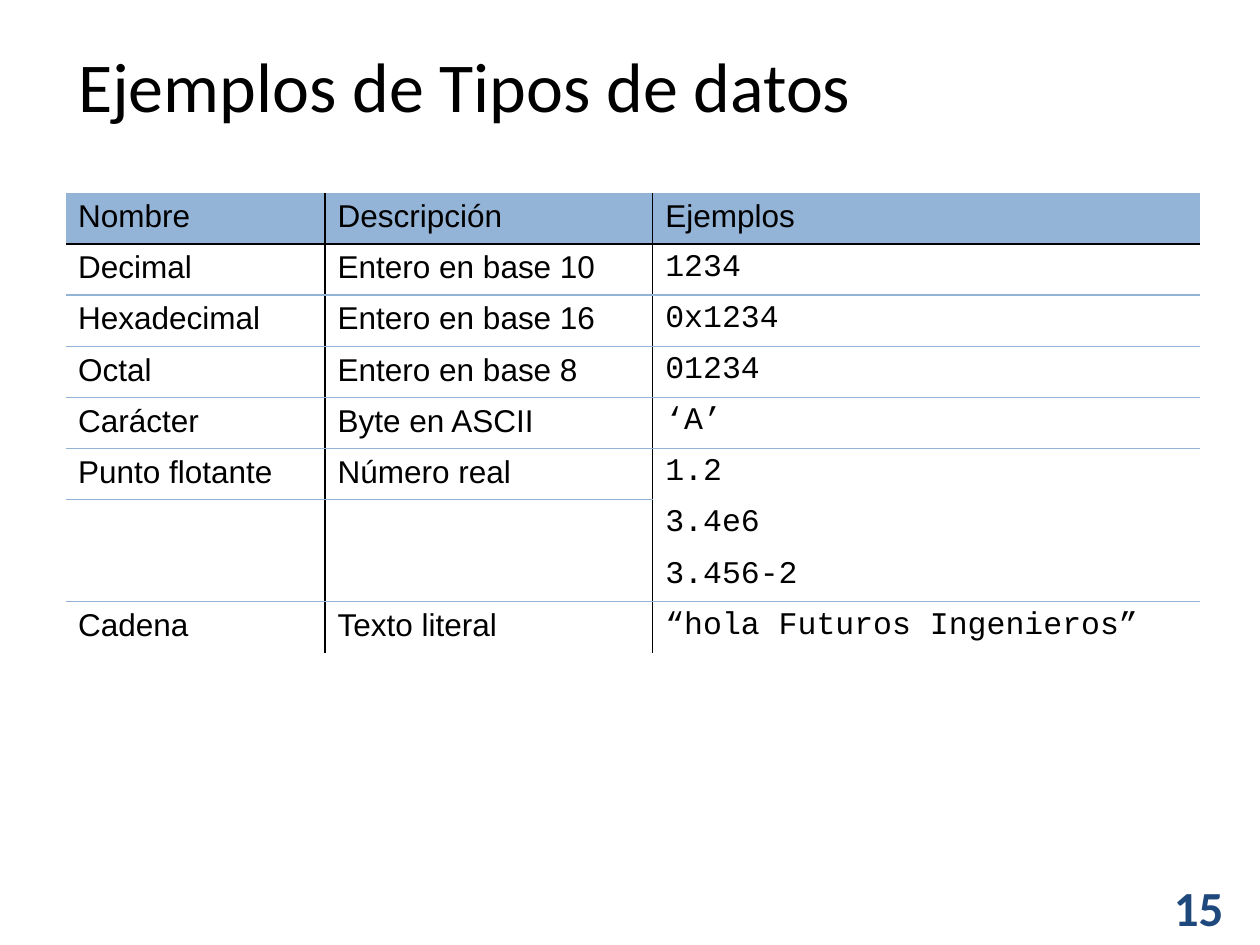
from dataclasses import dataclass
from typing import Optional

from lxml.etree import SubElement
from pptx import Presentation
from pptx.dml.color import RGBColor
from pptx.oxml.ns import qn
from pptx.util import Pt

COLORS = {"black": "000000", "blue": "93B3D7", "navy": "1F497D"}


@dataclass
class Label:
    text: str
    left: float
    top: float
    width: float
    height: float
    size: float
    color: str
    bold: bool = False


@dataclass
class Border:
    color: str
    width: float


LABELS = [
    Label("15", 663.8, 498.2, 51.2, 41, 28, "navy", True),
    Label("Ejemplos de Tipos de datos", 37.5, 20.9, 555.8, 55.4, 40, "black"),
]
ROWS = [
    ("Nombre", "Descripción", "Ejemplos"),
    ("Decimal", "Entero en base 10", "1234"),
    ("Hexadecimal", "Entero en base 16", "0x1234"),
    ("Octal", "Entero en base 8", "01234"),
    ("Carácter", "Byte en ASCII", "‘A’"),
    ("Punto flotante", "Número real", "1.2"),
    ("", "", "3.4e6"),
    ("", "", "3.456-2"),
    ("Cadena", "Texto literal", "“hola Futuros Ingenieros”"),
]
COL_WIDTHS = (148.3, 187.2, 312.5)
ROW_HEIGHT = 29.2
DIVIDER = Border("black", 1)
RULE = Border("blue", 0.75)
OPEN_BELOW = {(5, 2), (6, 0), (6, 1), (6, 2)}


def style(p, font: str, size: float, color: str, bold: bool = False) -> None:
    p.font.name = font
    p.font.size = Pt(size)
    p.font.bold = bold
    p.font.color.rgb = RGBColor.from_string(COLORS[color])


def add_label(s, label: Label) -> None:
    sp = s.shapes.add_textbox(
        Pt(label.left), Pt(label.top), Pt(label.width), Pt(label.height)
    )
    tf = sp.text_frame
    tf.word_wrap = True
    p = tf.paragraphs[0]
    p.text = label.text
    style(p, "Calibri", label.size, label.color, label.bold)


def rule_below(row: int, col: int) -> Optional[Border]:
    if row < 0 or row == len(ROWS) - 1 or (row, col) in OPEN_BELOW:
        return None
    return DIVIDER if row == 0 else RULE


def set_borders(cell, row: int, col: int) -> None:
    borders = {
        "a:lnL": DIVIDER if col > 0 else None,
        "a:lnR": DIVIDER if col < len(COL_WIDTHS) - 1 else None,
        "a:lnT": rule_below(row - 1, col),
        "a:lnB": rule_below(row, col),
    }
    props = cell._tc.get_or_add_tcPr()
    for i, (tag, border) in enumerate(borders.items()):
        ln = SubElement(props, qn(tag))
        props.insert(i, ln)
        if border is None:
            SubElement(ln, qn("a:noFill"))
        else:
            ln.set("w", str(Pt(border.width)))
            fill = SubElement(ln, qn("a:solidFill"))
            SubElement(fill, qn("a:srgbClr"), val=COLORS[border.color])


def add_types_table(s) -> None:
    table = s.shapes.add_table(
        len(ROWS), len(COL_WIDTHS), Pt(37.5), Pt(110.2),
        Pt(sum(COL_WIDTHS)), Pt(ROW_HEIGHT * len(ROWS)),
    ).table
    table.first_row = False
    table.horz_banding = False
    for column, width in zip(table.columns, COL_WIDTHS):
        column.width = Pt(width)
    for row, texts in enumerate(ROWS):
        table.rows[row].height = Pt(ROW_HEIGHT)
        for col, text in enumerate(texts):
            cell = table.cell(row, col)
            if row == 0:
                cell.fill.solid()
                cell.fill.fore_color.rgb = RGBColor.from_string(COLORS["blue"])
            else:
                cell.fill.background()
            p = cell.text_frame.paragraphs[0]
            p.text = text
            style(p, "Courier New" if row and col == 2 else "Arial", 18, "black")
            set_borders(cell, row, col)


def main() -> None:
    prs = Presentation()
    prs.slide_width, prs.slide_height = Pt(720), Pt(540)
    s = prs.slides.add_slide(prs.slide_layouts[6])
    for label in LABELS:
        add_label(s, label)
    add_types_table(s)
    prs.save("out.pptx")


if __name__ == "__main__":
    main()
